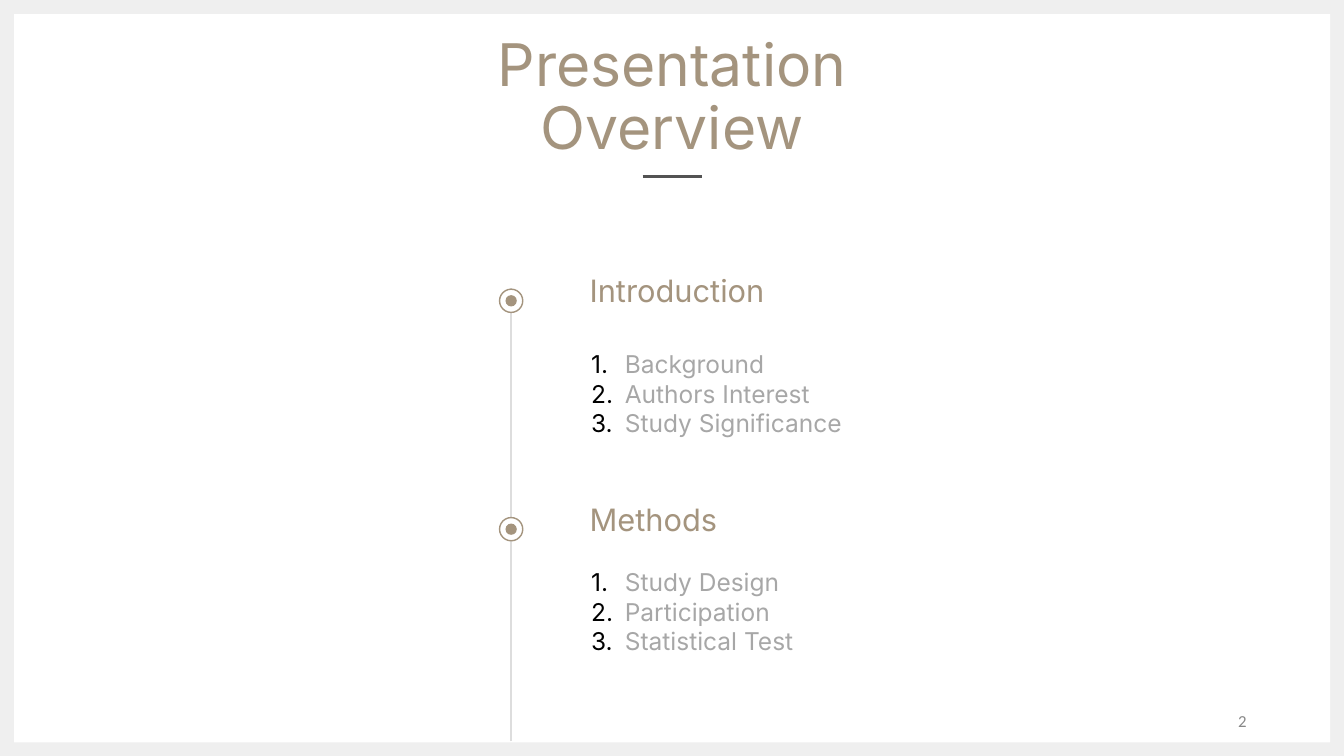
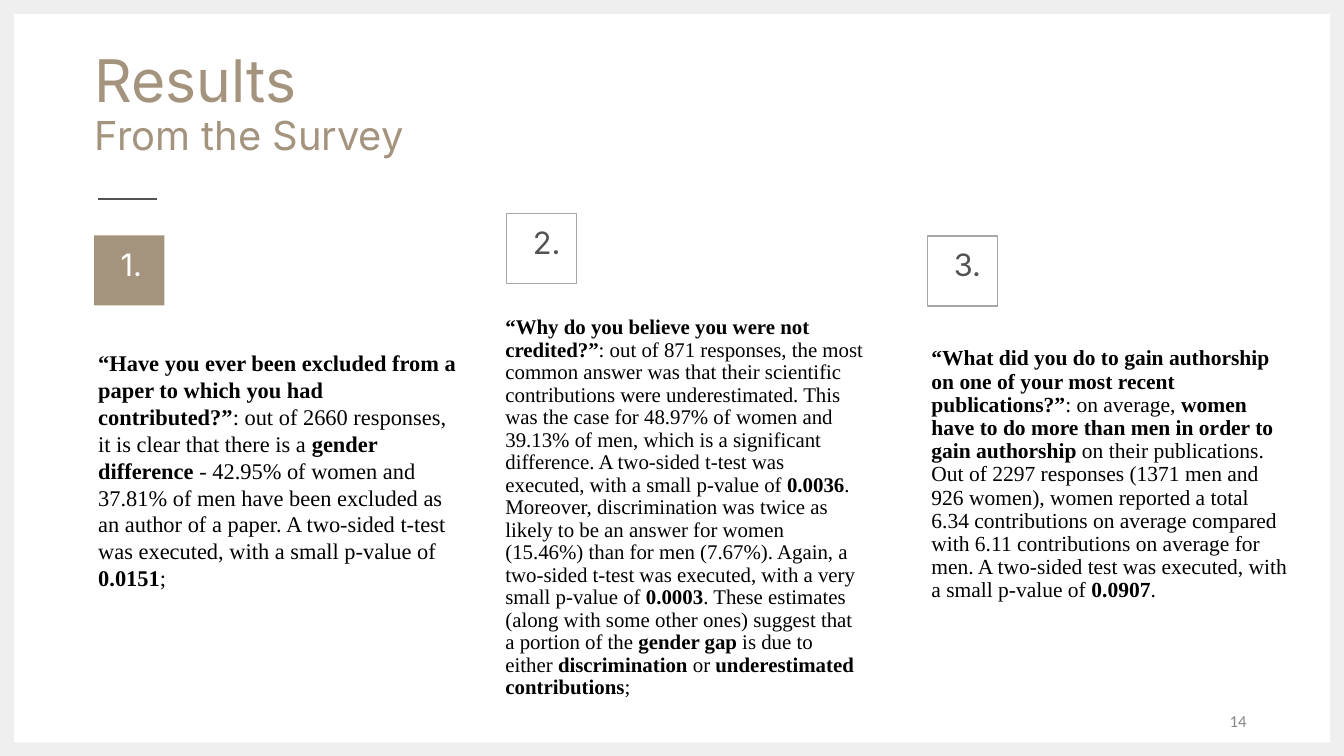
"""Build the overview and survey results slides."""
from lxml.etree import SubElement
from pptx import Presentation
from pptx.dml.color import RGBColor
from pptx.enum.shapes import MSO_CONNECTOR as LINE, MSO_SHAPE as SHAPE
from pptx.enum.text import MSO_ANCHOR as ANCHOR, MSO_AUTO_SIZE as AUTO, PP_ALIGN as ALIGN
from pptx.oxml.ns import qn
from pptx.util import Cm, Pt

EDGE = RGBColor(0xEF, 0xEF, 0xEF)
WHITE = RGBColor(0xFF, 0xFF, 0xFF)
BLACK = RGBColor(0, 0, 0)
TAN = RGBColor(0xA4, 0x94, 0x7E)
DARK = RGBColor(0x53, 0x53, 0x53)
GREY = RGBColor(0xA7, 0xA7, 0xA7)
PALE = RGBColor(0xDD, 0xDD, 0xDD)
FOLIO = RGBColor(0x88, 0x88, 0x88)

TITLE = {"name": "Inter", "size": Pt(84), "color": TAN}
SUBTITLE = TITLE | {"size": Pt(57)}
HEADING = TITLE | {"size": Pt(44)}
ITEM = {"name": "Inter", "size": Pt(35), "color": GREY}
BODY = {"name": "Times New Roman", "color": BLACK}
NUMBER = {"name": "Calibri", "size": Pt(24), "color": FOLIO}


class Deck:
    """Hold the shared style and the current slide."""

    def __init__(self):
        self.prs = Presentation()
        self.prs.slide_width, self.prs.slide_height = Cm(67.73), Cm(38.1)
        fill = self.prs.slide_master.background.fill
        fill.solid()
        fill.fore_color.rgb = EDGE

    def slide(self, page, lines, x, y, align, rule_x, rule_y):
        """Start a slide with its paper, title, rule and page number."""
        self.s = self.prs.slides.add_slide(self.prs.slide_layouts[5])
        paper = self.shape(SHAPE.RECTANGLE, 0.71, 0.71, 66.32, 36.7, WHITE)
        self.s.shapes._spTree.insert(2, paper._element)
        title = self.s.shapes.title
        title.left, title.top, title.width, title.height = map(Cm, (x, y, 20.7, 7.59))
        self.fill_text(title.text_frame, lines, spacing=0.9, align=align, anchor=ANCHOR.BOTTOM)
        self.line(rule_x, rule_y, rule_x + 2.97, rule_y, DARK, 4)
        self.text(47.83, 35.66, 15.24, 1.35, [(page, NUMBER)],
                  align=ALIGN.RIGHT, anchor=ANCHOR.MIDDLE)

    def shape(self, kind, x, y, w, h, fill, line=None):
        """Add a filled preset shape."""
        sp = self.s.shapes.add_shape(kind, Cm(x), Cm(y), Cm(w), Cm(h))
        sp.shadow.inherit = False
        sp.fill.solid()
        sp.fill.fore_color.rgb = fill
        if line is None:
            sp.line.fill.background()
        else:
            sp.line.color.rgb = line
            sp.line.width = Pt(2)
        return sp

    def line(self, x1, y1, x2, y2, color, width):
        """Add a straight line without a shadow."""
        cn = self.s.shapes.add_connector(LINE.STRAIGHT, Cm(x1), Cm(y1), Cm(x2), Cm(y2))
        cn.line.color.rgb = color
        cn.line.width = Pt(width)
        SubElement(cn._element.spPr, qn("a:effectLst"))

    def text(self, x, y, w, h, lines, **layout):
        """Add a wrapped text box."""
        tb = self.s.shapes.add_textbox(Cm(x), Cm(y), Cm(w), Cm(h))
        self.fill_text(tb.text_frame, lines, **layout)

    def fill_text(self, tf, lines, spacing=1.0, align=ALIGN.LEFT, anchor=ANCHOR.TOP,
                  numbered=False):
        """Fill a frame with (text, format) lines, where asterisks enclose bold words."""
        frame = {"word_wrap": True, "auto_size": AUTO.NONE, "vertical_anchor": anchor}
        frame |= {f"margin_{side}": Cm(0.25) for side in ("left", "top", "right", "bottom")}
        for key, value in frame.items():
            setattr(tf, key, value)
        for i, (text, style) in enumerate(lines):
            p = tf.add_paragraph() if i else tf.paragraphs[0]
            p.alignment, p.line_spacing = align, spacing
            if numbered:
                self.number(p)
            for j, part in enumerate(text.split("*")):
                if part:
                    r = p.add_run()
                    r.text = part
                    self.font(r.font, style | {"bold": j % 2 == 1})

    def font(self, font, style):
        """Apply a dict of format values to a font."""
        for key, value in style.items():
            if key == "color":
                font.color.rgb = value
            else:
                setattr(font, key, value)

    def number(self, p):
        """Give a paragraph a black automatic number."""
        pPr = p._p.get_or_add_pPr()
        pPr.set("marL", str(Cm(1.7)))
        pPr.set("indent", str(-Cm(1.7)))
        color = SubElement(pPr, qn("a:buClr"))
        SubElement(color, qn("a:srgbClr"), val=str(BLACK))
        SubElement(pPr, qn("a:buAutoNum"), type="arabicPeriod")

    def milestone(self, y, heading, items, list_y, list_h):
        """Add a timeline marker with its heading and numbered list."""
        x = 25.76
        for size, fill, line in ((1.17, WHITE, TAN), (0.57, TAN, None)):
            self.shape(SHAPE.OVAL, x - size / 2, y - size / 2, size, size, fill, line)
        self.text(29.46, y - 1.34, 11.48, 2.49, [(heading, HEADING)], spacing=0.8)
        self.text(29.54, list_y, 17.81, list_h, [(item, ITEM) for item in items], numbered=True)

    def finding(self, label, box, colors, body, size, spacing, text):
        """Add a numbered square with its paragraph."""
        x, y = box
        fill, line, ink = colors
        self.shape(SHAPE.RECTANGLE, x, y, 3.53, 3.53, fill, line)
        self.text(x + 1.08, y + 0.61, 1.93, 2.49, [(label, HEADING | {"color": ink})], spacing=0.8)
        left, top, height = body
        self.text(left, top, 18.62, height, [(text, BODY | {"size": Pt(size)})], spacing=spacing)


MILESTONES = [
    (15.16, "Introduction", ["Background", "Authors Interest", "Study Significance"], 17.35, 6.93),
    (26.67, "Methods", ["Study Design", "Participation", "Statistical Test"], 28.35, 5.92),
]
SOLID = (TAN, None, WHITE)
OUTLINED = (WHITE, GREY, DARK)
FINDINGS = [
    ("1.", (4.75, 11.86), SOLID, (4.7, 17.35, 15.67), 32, 1.0,
     "*“Have you ever been excluded from a paper to which you had contributed?”*: out of 2660 "
     "responses, it is clear that there is a *gender difference* - 42.95% of women and 37.81% of "
     "men have been excluded as an author of a paper. A two-sided t-test was executed, with a "
     "small p-value of *0.0151*;"),
    ("2.", (25.53, 10.77), OUTLINED, (25.22, 15.7, 21.03), 29.8, 0.9,
     "*“Why do you believe you were not credited?”*: out of 871 responses, the most common answer "
     "was that their scientific contributions were underestimated. This was the case for 48.97% "
     "of women and 39.13% of men, which is a significant difference. A two-sided t-test was "
     "executed, with a small p-value of *0.0036*. Moreover, discrimination was twice as likely to "
     "be an answer for women (15.46%) than for men (7.67%). Again, a two-sided t-test was "
     "executed, with a very small p-value of *0.0003*. These estimates (along with some other "
     "ones) suggest that a portion of the *gender gap* is due to either *discrimination* or "
     "*underestimated contributions*;"),
    ("3.", (46.74, 11.89), OUTLINED, (46.69, 17.25, 14.35), 30.7, 0.9,
     "*“What did you do to gain authorship on one of your most recent publications?”*: on average, "
     "*women have to do more than men in order to gain authorship* on their publications. Out of "
     "2297 responses (1371 men and 926 women), women reported a total 6.34 contributions on "
     "average compared with 6.11 contributions on average for men. A two-sided test was executed, "
     "with a small p-value of *0.0907*."),
]

deck = Deck()
deck.slide("2", [("Presentation", TITLE), ("Overview", TITLE)],
           23.52, 0.84, ALIGN.CENTER, 32.39, 8.89)
deck.line(25.76, 37.36, 25.76, 14.5, PALE, 2)
for milestone in MILESTONES:
    deck.milestone(*milestone)

deck.slide("14", [("Results", TITLE), ("From the Survey", SUBTITLE)],
           4.52, 0.66, ALIGN.LEFT, 4.95, 10.03)
for finding in FINDINGS:
    deck.finding(*finding)

deck.prs.save("out.pptx")
